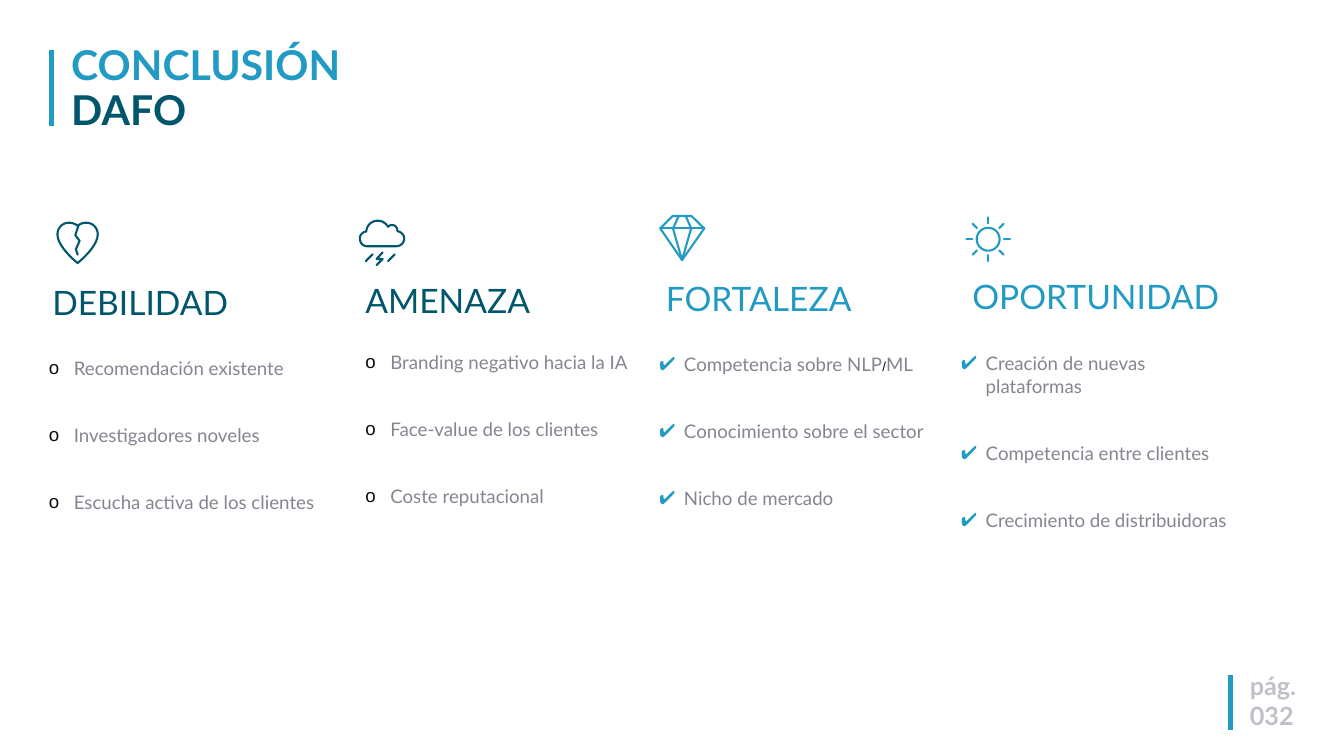
from math import cos, pi, sin

from lxml.etree import SubElement
from pptx import Presentation
from pptx.dml.color import RGBColor
from pptx.enum.shapes import MSO_CONNECTOR as Link
from pptx.enum.text import MSO_ANCHOR as Anchor, PP_ALIGN as Align
from pptx.oxml.ns import qn
from pptx.util import Inches, Pt

BLUE = RGBColor(0x21, 0x9B, 0xC3)
TEAL = RGBColor(0x00, 0x56, 0x6C)
GRAY = RGBColor(0x85, 0x85, 0x91)
PALE = RGBColor(0xC0, 0xC0, 0xC8)
INK = RGBColor(0x0C, 0x0B, 0x0B)
BLACK = RGBColor(0, 0, 0)

# Icons: strokes in inches; a pair is a corner, six numbers are a curve
HEART = [
    [(.315, .06), (.28, .03, .23, .015, .185, .015),
     (.09, .015, .015, .09, .015, .19), (.015, .36, .26, .57, .315, .615),
     (.37, .57, .615, .36, .615, .19), (.615, .09, .54, .015, .445, .015),
     (.4, .015, .35, .03, .315, .06)],
    [(.33, .05), (.28, .2), (.345, .285), (.29, .41), (.315, .49)],
]
CLOUD = [
    [(.12, .395), (.06, .395, .015, .34, .015, .28),
     (.015, .23, .05, .185, .11, .175), (.12, .08, .19, .015, .28, .015),
     (.35, .015, .4, .05, .435, .105), (.46, .08, .48, .08, .5, .08),
     (.545, .08, .575, .12, .575, .17), (.64, .185, .675, .23, .675, .28),
     (.675, .345, .62, .395, .56, .395), (.12, .395)],
    [(.205, .515), (.105, .615)],
    [(.535, .515), (.435, .615)],
    [(.355, .485), (.265, .585), (.355, .585), (.265, .675)],
]
GEM = [
    [(.2, .015), (.48, .015), (.67, .2), (.34, .67), (.015, .2), (.2, .015)],
    [(.015, .2), (.67, .2)],
    [(.29, .015), (.205, .2), (.34, .67), (.475, .2), (.395, .015)],
]


def polar(rad, turn):
    return .335 + rad * cos(2 * pi * turn), .34 + rad * sin(2 * pi * turn)


SUN = [[polar(.17, i / 48) for i in range(49)]]
SUN += [[polar(.235, i / 8), polar(.325, i / 8)] for i in range(8)]

# Columns: head, head place, icon, icon place, list place, bullet, items
COLS = [
    dict(head="DEBILIDAD", at=(.68, 4.15), icon=HEART, spot=(.84, 3.3),
         list=(.63, 5.26), color=TEAL, mark=("o", INK),
         items=["Recomendación existente", "Investigadores noveles",
                "Escucha activa de los clientes"]),
    dict(head="AMENAZA", at=(5.34, 4.12), icon=CLOUD, spot=(5.34, 3.27),
         list=(5.34, 5.17), color=TEAL, mark=("o", INK),
         items=["Branding negativo hacia la IA", "Face-value de los clientes",
                "Coste reputacional"]),
    dict(head="FORTALEZA", at=(9.81, 4.09), icon=GEM, spot=(9.81, 3.2),
         list=(9.71, 5.2), color=BLUE, mark=("✔", BLUE),
         items=["Competencia sobre NLP/ML", "Conocimiento sobre el sector",
                "Nicho de mercado"]),
    dict(head="OPORTUNIDAD", at=(14.37, 4.06), icon=SUN, spot=(14.37, 3.22),
         list=(14.2, 5.19), color=BLUE, mark=("✔", BLUE),
         items=["Creación de nuevas plataformas", "Competencia entre clientes",
                "Crecimiento de distribuidoras"]),
]
BARS = [(.77, .75, 1.88), (18.31, 10.05, 10.86)]

deck = Presentation()
deck.slide_width, deck.slide_height = Inches(20), Inches(11.25)
slide = deck.slides.add_slide(deck.slide_layouts[5])
shapes = slide.shapes


def add_run(para, text, size, color, bold=False, face="Lato"):
    run = para.add_run()
    run.text = text
    font = run.font
    font.name, font.size, font.bold = face, Pt(size), bold
    font.color.rgb = color


def add_box(x, y, wide, high):
    frame = shapes.add_textbox(*map(Inches, (x, y, wide, high))).text_frame
    frame.word_wrap = True
    return frame


def add_mark(para, char, color):
    prop = para._p.get_or_add_pPr()
    prop.set("marL", str(Inches(.37)))
    prop.set("indent", str(-Inches(.37)))
    tint = SubElement(prop, qn("a:buClr"))
    SubElement(tint, qn("a:srgbClr"), val=str(color))
    SubElement(prop, qn("a:buFont"), typeface="Arial")
    SubElement(prop, qn("a:buChar"), char=char)


def trace(stroke):
    """Turn corners and curves into a list of points."""
    pts = [stroke[0]]
    for step in stroke[1:]:
        if len(step) == 2:
            pts.append(step)
            continue
        knots = [pts[-1], step[:2], step[2:4], step[4:]]
        for i in range(1, 11):
            t = i / 10
            part = ((1 - t) ** 3, 3 * t * (1 - t) ** 2,
                    3 * t * t * (1 - t), t ** 3)
            pts.append(tuple(sum(w * k[n] for w, k in zip(part, knots))
                             for n in (0, 1)))
    return pts


def add_icon(strokes, x, y, color):
    pen = None
    for stroke in strokes:
        pts = [(Inches(x + a), Inches(y + b)) for a, b in trace(stroke)]
        if pen is None:
            pen = shapes.build_freeform(*pts[0])
        else:
            pen.move_to(*pts[0])
        pen.add_line_segments(pts[1:], close=False)
    icon = pen.convert_to_shape()
    icon.shadow.inherit = False
    icon.fill.background()
    icon.line.color.rgb = color
    icon.line.width = Pt(2.25)
    icon.line._get_or_add_ln().set("cap", "rnd")


# Accent bars
for x, top, end in BARS:
    bar = shapes.add_connector(Link.STRAIGHT, *map(Inches, (x, top, x, end)))
    bar.line.color.rgb, bar.line.width = BLUE, Pt(5)
    SubElement(bar._element.spPr, qn("a:effectLst"))

# Title
title = shapes.title
title.left, title.top, title.width, title.height = map(
    Inches, (.96, .62, 5.96, 1.43))
title.text_frame.vertical_anchor = Anchor.MIDDLE
para = title.text_frame.paragraphs[0]
para.alignment, para.line_spacing = Align.LEFT, .9
add_run(para, "CONCLUSIÓN", 44, BLUE, True)
para.add_line_break()
add_run(para, "DAFO", 44, TEAL, True)

# Four columns
for col in COLS:
    head = add_box(*col["at"], 4.04, .71)
    add_run(head.paragraphs[0], col["head"], 36, col["color"])
    add_icon(col["icon"], *col["spot"], col["color"])
    body = add_box(*col["list"], 4.4, 2.69)
    for i, item in enumerate(col["items"]):
        para = body.add_paragraph() if i else body.paragraphs[0]
        add_mark(para, *col["mark"])
        if i:
            para.space_before = Pt(48)
        left, slash, right = item.partition("/")
        add_run(para, left, 20, GRAY)
        if slash:
            add_run(para, slash, 14, BLACK, face="Arial")
            add_run(para, right, 20, GRAY)

# Page number
page = add_box(18.5, 9.92, 1.5, 1.01)
add_run(page.paragraphs[0], "pág.", 27, PALE, True)
add_run(page.add_paragraph(), "032", 27, PALE, True)

deck.save("out.pptx")
